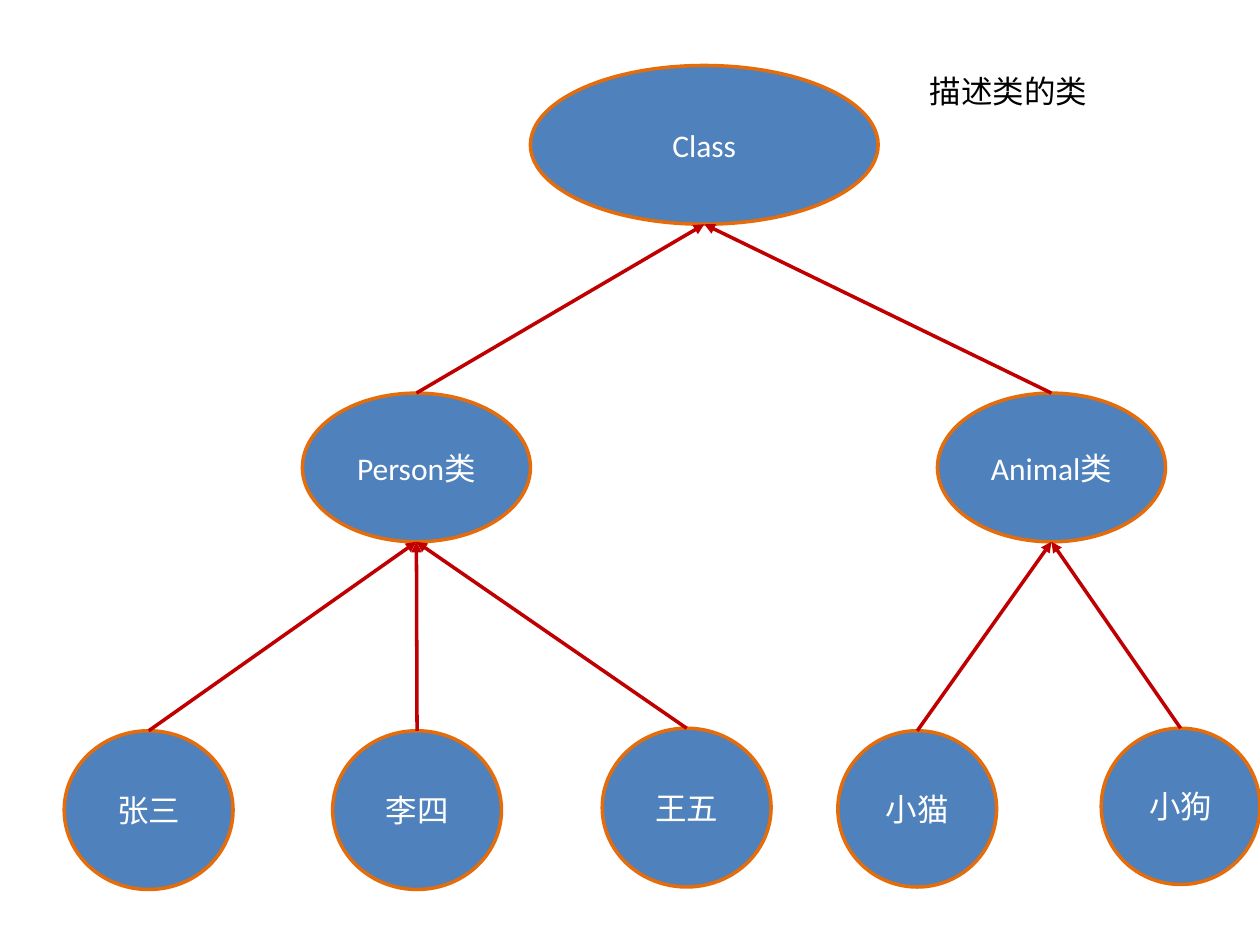
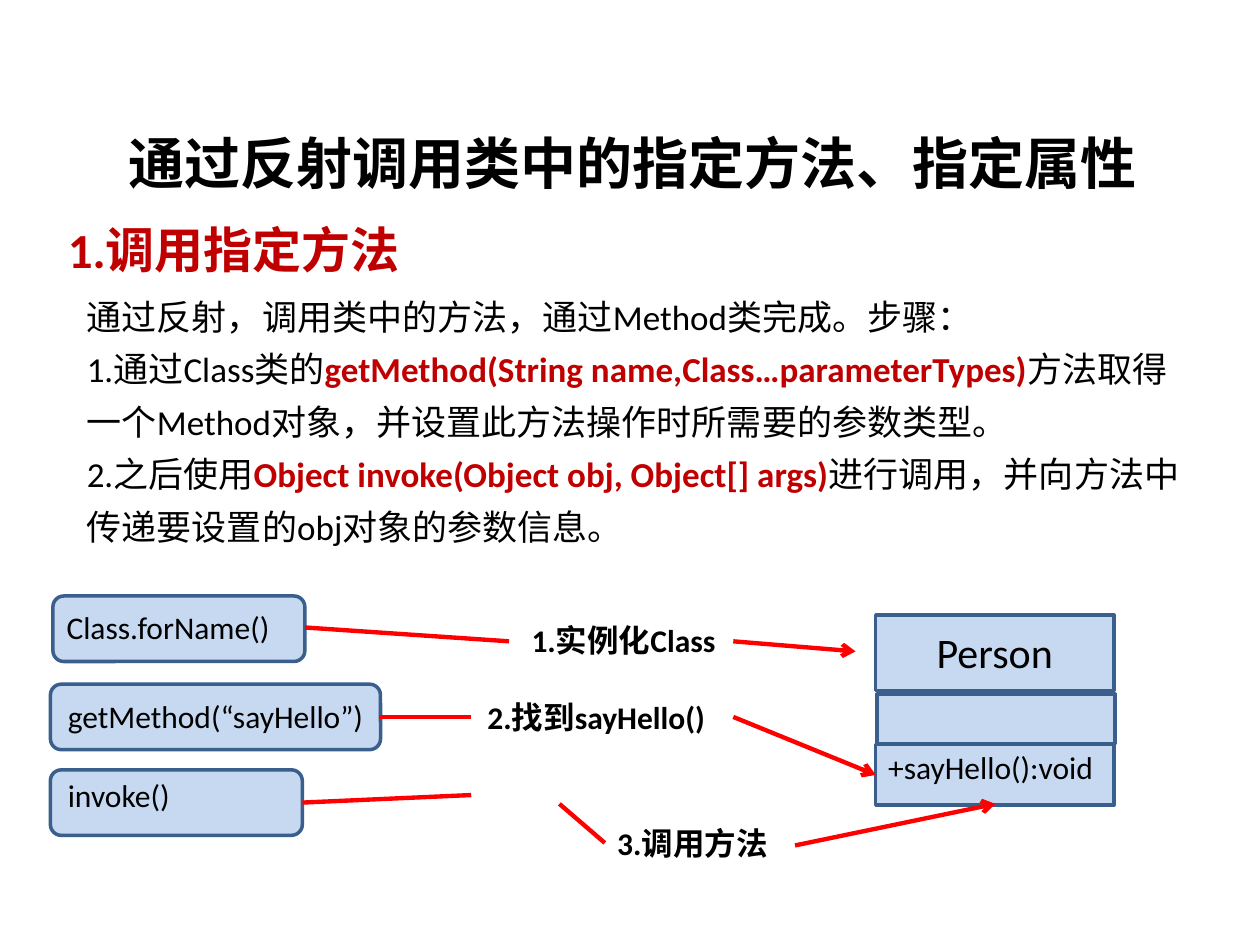
from lxml import etree
from pptx import Presentation
from pptx.dml.color import RGBColor
from pptx.enum.shapes import MSO_CONNECTOR as Connector, MSO_SHAPE as Preset
from pptx.enum.text import MSO_ANCHOR as Anchor, MSO_AUTO_SIZE as AutoSize, PP_ALIGN as Align
from pptx.oxml.ns import qn
from pptx.util import Inches, Pt

FONT = "Calibri"
COLORS = {
    "black": "000000", "white": "FFFFFF", "accent": "C00000",
    "node": "4F81BD", "node_line": "E46C0A",
    "box": "C6D9F1", "box_line": "3A5F8C", "step": "FF0000",
}

NODES = {
    "Class": (4.21, 0.52, 2.76, 1.26),
    "Person类": (2.4, 3.12, 1.81, 1.18),
    "Animal类": (7.44, 3.12, 1.81, 1.18),
    "张三": (0.51, 5.8, 1.34, 1.26),
    "李四": (2.64, 5.8, 1.34, 1.26),
    "王五": (4.78, 5.78, 1.34, 1.26),
    "小猫": (6.65, 5.8, 1.26, 1.24),
    "小狗": (8.74, 5.78, 1.26, 1.24),
}
CHILDREN = {
    "Class": ["Person类", "Animal类"],
    "Person类": ["张三", "李四", "王五"],
    "Animal类": ["小猫", "小狗"],
}
CLASS_NOTE = ("描述类的类", (7.28, 0.52, 2.6, 0.4))

TITLE = ("通过反射调用类中的指定方法、指定属性", (0.92, 0.97, 8.72, 0.64))
SUBTITLE = ("1.调用指定方法", (0.44, 1.69, 7.46, 0.57))
BODY_AREA = (0.59, 2.21, 8.98, 2.2)
BODY = [
    [("通过反射，调用类中的方法，通过Method类完成。步骤：", False)],
    [("1.通过Class类的", False),
     ("getMethod(String name,Class…parameterTypes)", True),
     ("方法取得一个Method对象，并设置此方法操作时所需要的参数类型。", False)],
    [("2.之后使用", False),
     ("Object invoke(Object obj, Object[] args)", True),
     ("进行调用，并向方法中传递要设置的obj对象的参数信息。", False)],
]
CALLS = [
    ("Class.forName()", (0.42, 4.73, 2, 0.52), (0.43, 4.78, 1.97, 0.4)),
    ("getMethod(“sayHello”)", (0.4, 5.43, 2.62, 0.52), (0.44, 5.48, 2.58, 0.4)),
    ("invoke()", (0.4, 6.11, 2, 0.52), (0.44, 6.11, 1.96, 0.4)),
]
STEPS = [
    ("1.实例化Class", (4.12, 4.88, 2.05, 0.4)),
    ("2.找到sayHello()", (3.77, 5.49, 2.05, 0.4)),
    ("3.调用方法", (4.8, 6.49, 1.68, 0.4)),
]
PERSON_PARTS = [(6.95, 4.88, 1.89, 0.6), (6.96, 5.51, 1.89, 0.39), (6.95, 5.91, 1.89, 0.48)]
PERSON_NAME = ("Person", (7.19, 4.92, 1.41, 0.5))
PERSON_METHOD = ("+sayHello():void", (6.95, 5.89, 2.05, 0.4))
STEP_LINES = [
    ((2.42, 4.98), (4.04, 5.09)),
    ((3.01, 5.69), (3.74, 5.69)),
    ((2.4, 6.37), (3.74, 6.31)),
    ((4.44, 6.38), (4.8, 6.69)),
]
STEP_ARROWS = [
    ((5.82, 5.09), (6.79, 5.17)),
    ((5.82, 5.69), (6.95, 6.15)),
    ((6.31, 6.71), (7.9, 6.38)),
]


def rgb(name):
    return RGBColor.from_string(COLORS[name])


def inches(lengths):
    return [Inches(length) for length in lengths]


def add_run(paragraph, text, size, color="black", bold=False):
    run = paragraph.add_run()
    run.text = text
    run.font.name = FONT
    run.font.size = Pt(size)
    run.font.bold = bold
    run.font.color.rgb = rgb(color)


def add_text_frame(slide, area):
    frame = slide.shapes.add_textbox(*inches(area)).text_frame
    frame.word_wrap = True
    frame.auto_size = AutoSize.SHAPE_TO_FIT_TEXT
    return frame


def add_label(slide, text, area, size=18, color="black", bold=False, align=Align.LEFT):
    paragraph = add_text_frame(slide, area).paragraphs[0]
    paragraph.alignment = align
    add_run(paragraph, text, size, color, bold)


def add_box(slide, preset, area, fill, line):
    shape = slide.shapes.add_shape(preset, *inches(area))
    shape.shadow.inherit = False
    shape.fill.solid()
    shape.fill.fore_color.rgb = rgb(fill)
    shape.line.color.rgb = rgb(line)
    shape.line.width = Pt(2)
    return shape


def add_line(slide, start, end, color, width, arrowhead=None):
    connector = slide.shapes.add_connector(Connector.STRAIGHT, *inches(start + end))
    connector.line.color.rgb = rgb(color)
    connector.line.width = Pt(width)
    if arrowhead:
        etree.SubElement(connector.line._get_or_add_ln(), qn("a:tailEnd"), type=arrowhead)
    etree.SubElement(connector._element.spPr, qn("a:effectLst"))


def top_center(area):
    left, top, width, height = area
    return left + width / 2, top


def bottom_center(area):
    left, top, width, height = area
    return left + width / 2, top + height


def build_class_tree(slide):
    for name, area in NODES.items():
        node = add_box(slide, Preset.OVAL, area, "node", "node_line")
        node.text_frame.vertical_anchor = Anchor.MIDDLE
        paragraph = node.text_frame.paragraphs[0]
        paragraph.alignment = Align.CENTER
        add_run(paragraph, name, 18, "white")
    for parent, children in CHILDREN.items():
        for child in children:
            add_line(slide, top_center(NODES[child]), bottom_center(NODES[parent]),
                     "accent", 2, "triangle")
    add_label(slide, *CLASS_NOTE)


def build_method_call(slide):
    add_label(slide, *TITLE, size=32, bold=True)
    add_label(slide, *SUBTITLE, size=28, color="accent", bold=True)
    frame = add_text_frame(slide, BODY_AREA)
    for index, pieces in enumerate(BODY):
        paragraph = frame.add_paragraph() if index else frame.paragraphs[0]
        paragraph.line_spacing = Pt(30)
        for text, is_signature in pieces:
            add_run(paragraph, text, 20, "accent" if is_signature else "black", is_signature)
    for text, box_area, text_area in CALLS:
        add_box(slide, Preset.ROUNDED_RECTANGLE, box_area, "box", "box_line")
        add_label(slide, text, text_area)
    for text, area in STEPS:
        add_label(slide, text, area, bold=True)
    for area in PERSON_PARTS:
        add_box(slide, Preset.RECTANGLE, area, "box", "box_line")
    add_label(slide, *PERSON_NAME, size=24, align=Align.CENTER)
    add_label(slide, *PERSON_METHOD)
    for start, end in STEP_LINES:
        add_line(slide, start, end, "step", 2.5)
    for start, end in STEP_ARROWS:
        add_line(slide, start, end, "step", 2.5, "arrow")


def main():
    presentation = Presentation()
    presentation.slide_width = Inches(10)
    presentation.slide_height = Inches(7.5)
    blank = presentation.slide_layouts[6]
    for build in (build_class_tree, build_method_call):
        build(presentation.slides.add_slide(blank))
    presentation.save("out.pptx")


if __name__ == "__main__":
    main()
